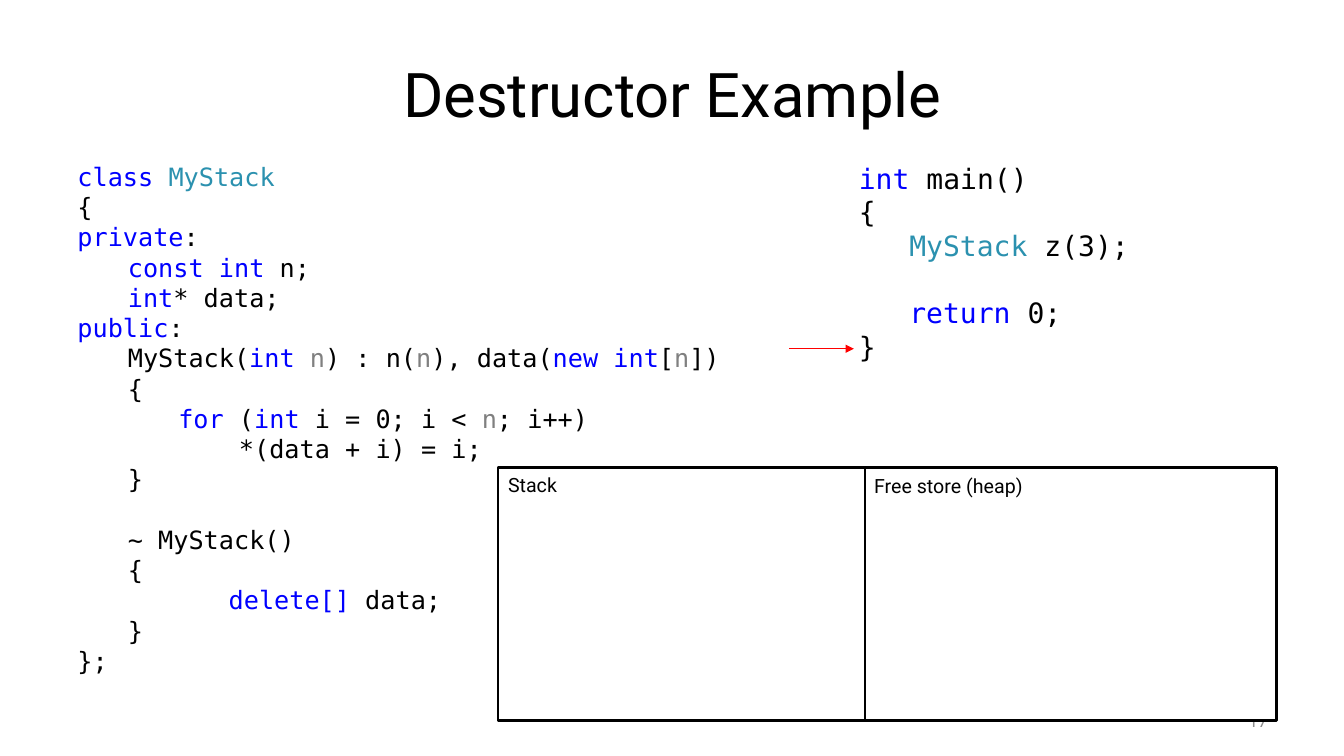
import dataclasses

import lxml.etree
import pptx
import pptx.dml.color
import pptx.enum.shapes
import pptx.enum.text
import pptx.oxml.ns
import pptx.util

ALIGN = pptx.enum.text.PP_ALIGN
ANCHOR = pptx.enum.text.MSO_ANCHOR
FIT = pptx.enum.text.MSO_AUTO_SIZE


@dataclasses.dataclass(frozen=True)
class Theme:
    sans: str = "Roboto"
    mono: str = "DejaVu Sans Mono"
    ink: str = "000000"
    paper: str = "FFFFFF"
    muted: str = "8C8C8C"
    arrow: str = "FF0000"
    key: str = "0000FF"
    type: str = "2B91AF"
    param: str = "808080"
    title: int = 44
    main: int = 20
    code: int = 18
    label: int = 14
    number: int = 12


# Each mark opens and closes a stretch of coloured code.
MARKS = {"@": "key", "$": "type", "#": "param"}

# Code lines are (indent level, marked text).
STACK = [
    (0, "@class @$MyStack$"),
    (0, "{"),
    (0, "@private@:"),
    (1, "@const int@ n;"),
    (1, "@int@* data;"),
    (0, "@public@:"),
    (1, "MyStack(@int @#n#) : n(#n#), data(@new int@[#n#])"),
    (1, "{"),
    (2, "@for@ (@int@ i = 0; i < #n#; i++)"),
    (2, "    *(data + i) = i;"),
    (1, "}"),
    (0, ""),
    (1, "~ MyStack()"),
    (1, "{"),
    (3, "@delete[]@ data;"),
    (1, "}"),
    (0, "};"),
]
MAIN = [
    (0, "@int @main()"),
    (0, "{"),
    (1, "$MyStack$ z(3);"),
    (0, ""),
    (1, "@return@ 0;"),
    (0, "}"),
]


def px(n):
    """Turn px, at 100 to the inch, into EMU."""
    return pptx.util.Emu(n * 9144)


def rgb(hue):
    return pptx.dml.color.RGBColor.from_string(hue)


def put(item, **values):
    for name, value in values.items():
        setattr(item, name, value)


def split(text):
    """Yield (colour name, text) for each stretch of marked code."""
    hue, part = "ink", ""
    for char in text:
        if char in MARKS:
            if part:
                yield hue, part
            hue, part = ("ink" if hue == MARKS[char] else MARKS[char]), ""
        else:
            part += char
    if part:
        yield hue, part


class Page:
    def __init__(self, deck, theme):
        self.theme = theme
        self.slide = deck.slides.add_slide(deck.slide_layouts[5])

    def place(self, shape, box):
        put(shape, **dict(zip(("left", "top", "width", "height"), map(px, box))))

    def font(self, item, size, face, hue):
        put(item.font, size=pptx.util.Pt(size), name=face)
        item.font.color.rgb = rgb(hue)

    def fill(self, frame, text, size, hue, align, anchor):
        """Set one styled line of text in the frame."""
        put(frame, word_wrap=True, auto_size=FIT.NONE, vertical_anchor=anchor)
        line = frame.paragraphs[0]
        line.alignment = align
        run = line.add_run()
        run.text = text
        self.font(run, size, self.theme.sans, hue)

    def title(self, text, box):
        shape = self.slide.shapes.title
        self.place(shape, box)
        self.fill(shape.text_frame, text, self.theme.title, self.theme.ink,
                  ALIGN.CENTER, ANCHOR.MIDDLE)

    def text(self, text, box, size, hue, align=ALIGN.LEFT, anchor=ANCHOR.TOP):
        shape = self.slide.shapes.add_textbox(*map(px, box))
        self.fill(shape.text_frame, text, size, hue, align, anchor)

    def code(self, lines, box, size):
        frame = self.slide.shapes.add_textbox(*map(px, box)).text_frame
        put(frame, word_wrap=True, auto_size=FIT.NONE)
        line, gap = frame.paragraphs[0], 0
        for level, text in lines:
            if not text:
                gap = 1.2 * size
                continue
            if line.runs:
                line = frame.add_paragraph()
            if level:
                props = line._p.get_or_add_pPr()
                props.set("marL", str(px(50 * level)))
                props.set("indent", "0")
            line.space_before = pptx.util.Pt(gap)
            gap = 0
            for hue, part in split(text):
                run = line.add_run()
                run.text = part
                self.font(run, size, self.theme.mono, getattr(self.theme, hue))

    def rect(self, box):
        kind = pptx.enum.shapes.MSO_SHAPE.RECTANGLE
        shape = self.slide.shapes.add_shape(kind, *map(px, box))
        shape.shadow.inherit = False
        shape.fill.solid()
        shape.fill.fore_color.rgb = rgb(self.theme.paper)
        shape.line.color.rgb = rgb(self.theme.ink)
        shape.line.width = pptx.util.Pt(2)

    def arrow(self, *ends):
        kind = pptx.enum.shapes.MSO_CONNECTOR.STRAIGHT
        shape = self.slide.shapes.add_connector(kind, *map(px, ends))
        shape.line.color.rgb = rgb(self.theme.arrow)
        shape.line.width = pptx.util.Pt(0.75)
        qn = pptx.oxml.ns.qn
        tail = lxml.etree.SubElement(shape.line._get_or_add_ln(), qn("a:tailEnd"))
        tail.set("type", "triangle")
        lxml.etree.SubElement(shape._element.spPr, qn("a:effectLst"))


def main():
    deck = pptx.Presentation()
    put(deck, slide_width=px(1333), slide_height=px(750))
    theme = Theme()
    page = Page(deck, theme)
    page.title("Destructor Example", (67, 30, 1200, 125))
    page.text("17", (956, 695, 311, 40), theme.number, theme.muted,
              ALIGN.RIGHT, ANCHOR.MIDDLE)
    page.code(MAIN, (842, 155, 364, 212), theme.main)
    page.rect((857, 464, 409, 251))
    page.rect((494, 464, 364, 251))
    page.code(STACK, (67, 155, 664, 525), theme.code)
    page.text("Stack", (494, 464, 131, 34), theme.label, theme.ink)
    page.text("Free store (heap)", (857, 465, 208, 34), theme.label, theme.ink)
    page.arrow(783, 346, 847, 346)
    deck.save("out.pptx")


if __name__ == "__main__":
    main()
